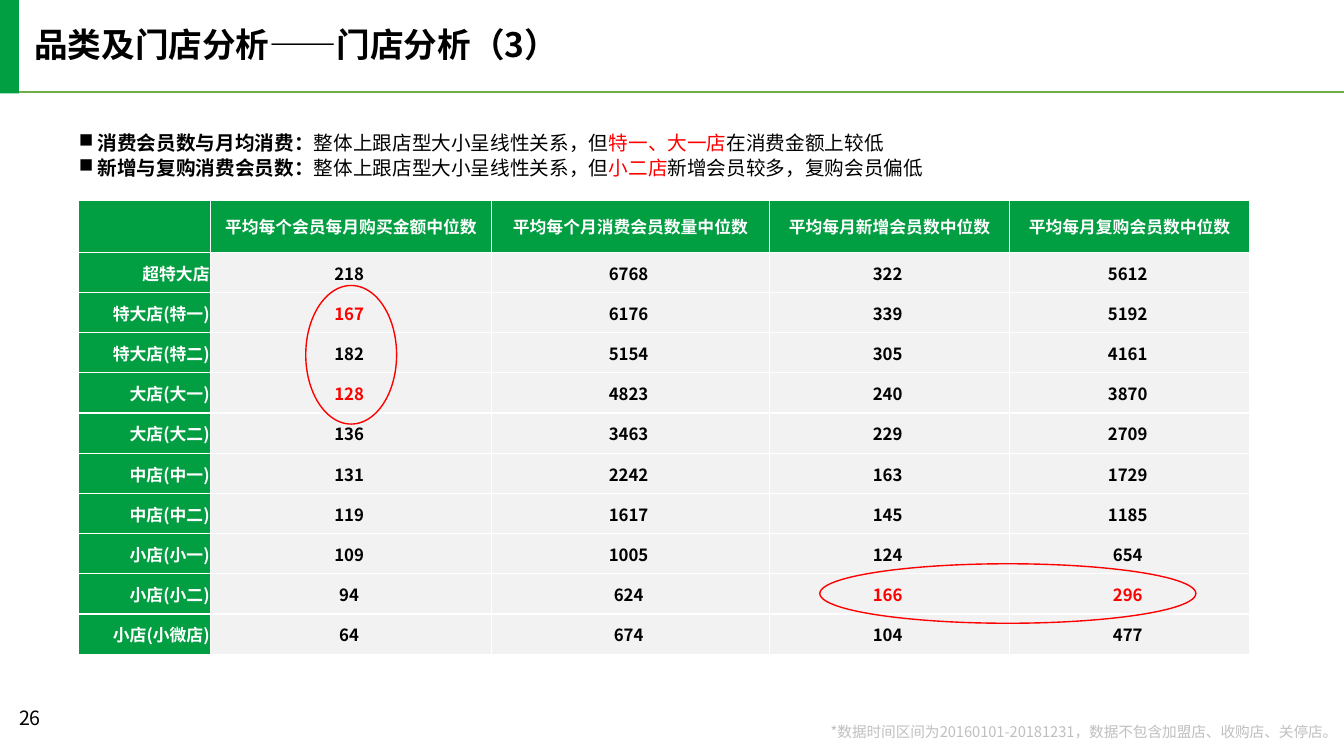
from lxml.etree import SubElement
from pptx import Presentation
from pptx.dml.color import RGBColor
from pptx.enum.shapes import MSO_CONNECTOR, MSO_SHAPE
from pptx.enum.text import MSO_ANCHOR, PP_ALIGN
from pptx.oxml.ns import qn
from pptx.util import Pt

FONT = "Noto Sans CJK SC"
GREEN = RGBColor(0x02, 0x9E, 0x42)
RULE_GREEN = RGBColor(0x70, 0xAD, 0x47)
PALE = RGBColor(0xF2, 0xF2, 0xF2)
GRAY = RGBColor(0xBF, 0xBF, 0xBF)
WHITE = RGBColor(0xFF, 0xFF, 0xFF)
BLACK = RGBColor(0, 0, 0)
RED = RGBColor(0xFF, 0, 0)

TITLE = "品类及门店分析——门店分析（3）"
FOOTNOTE = "*数据时间区间为20160101-20181231，数据不包含加盟店、收购店、关停店。"
PAGE_NUMBER = "26"
FINDINGS = [
    [("消费会员数与月均消费：", True, BLACK), ("整体上跟店型大小呈线性关系，但", False, BLACK),
     ("特一、大一店", False, RED), ("在消费金额上较低", False, BLACK)],
    [("新增与复购消费会员数：", True, BLACK), ("整体上跟店型大小呈线性关系，但", False, BLACK),
     ("小二店", False, RED), ("新增会员较多，复购会员偏低", False, BLACK)],
]
HEADERS = ["", "平均每个会员每月购买金额中位数", "平均每个月消费会员数量中位数",
           "平均每月新增会员数中位数", "平均每月复购会员数中位数"]
STORES = [
    ("超特大店", 218, 6768, 322, 5612),
    ("特大店(特一)", 167, 6176, 339, 5192),
    ("特大店(特二)", 182, 5154, 305, 4161),
    ("大店(大一)", 128, 4823, 240, 3870),
    ("大店(大二)", 136, 3463, 229, 2709),
    ("中店(中一)", 131, 2242, 163, 1729),
    ("中店(中二)", 119, 1617, 145, 1185),
    ("小店(小一)", 109, 1005, 124, 654),
    ("小店(小二)", 94, 624, 166, 296),
    ("小店(小微店)", 64, 674, 104, 477),
]
LOW_VALUES = {(2, 1), (4, 1), (9, 3), (9, 4)}
COLUMN_WIDTHS = [94.1, 200.7, 198.6, 171.5, 171.5]
HEADER_HEIGHT, STORE_HEIGHT = 37.2, 28.73
HIGHLIGHTS = [(218.4, 203.9, 64.9, 99), (585.6, 402.7, 268.6, 42.5)]


def write(frame, text, size=12, color=BLACK, bold=False, align=PP_ALIGN.LEFT,
          anchor=MSO_ANCHOR.TOP, spacing=None, bullet=None, wrap=True):
    frame.word_wrap = wrap
    frame.vertical_anchor = anchor
    lines = [[(text, bold, color)]] if isinstance(text, str) else text
    for number, line in enumerate(lines):
        paragraph = frame.add_paragraph() if number else frame.paragraphs[0]
        if bullet:
            properties = paragraph._p.get_or_add_pPr()
            properties.set("marL", str(Pt(13.5)))
            properties.set("indent", str(-Pt(13.5)))
            SubElement(properties, qn("a:buChar")).set("char", bullet)
        paragraph.alignment = align
        if spacing:
            paragraph.line_spacing = spacing
        for words, strong, ink in line:
            run = paragraph.add_run()
            run.text = words
            run.font.size = Pt(size)
            run.font.bold = strong
            run.font.color.rgb = ink
            run.font.name = FONT
            SubElement(run._r.get_or_add_rPr(), qn("a:ea")).set("typeface", FONT)


def add_box(left, top, width, height, inset=(0, 0)):
    frame = slide.shapes.add_textbox(Pt(left), Pt(top), Pt(width), Pt(height)).text_frame
    frame.margin_left = frame.margin_right = Pt(inset[0])
    frame.margin_top = frame.margin_bottom = Pt(inset[1])
    return frame


def add_plain_shape(kind, left, top, width, height):
    shape = slide.shapes.add_shape(kind, Pt(left), Pt(top), Pt(width), Pt(height))
    shape.shadow.inherit = False
    return shape


def add_borders(cell):
    properties = cell._tc.get_or_add_tcPr()
    for side in ("lnL", "lnR", "lnT", "lnB"):
        border = SubElement(properties, qn(f"a:{side}"))
        border.set("w", str(Pt(1)))
        fill = SubElement(border, qn("a:solidFill"))
        SubElement(fill, qn("a:srgbClr")).set("val", str(WHITE))


presentation = Presentation()
presentation.slide_width, presentation.slide_height = Pt(960), Pt(540)
slide = presentation.slides.add_slide(presentation.slide_layouts[6])

title_rule = slide.shapes.add_connector(MSO_CONNECTOR.STRAIGHT, 0, Pt(66), Pt(960), Pt(66))
title_rule.line.color.rgb = RULE_GREEN
title_rule.line.width = Pt(1.5)
SubElement(title_rule._element.spPr, qn("a:effectLst"))

write(add_box(24.5, 20.2, 453, 26), TITLE, size=24, bold=True, spacing=0.9)

title_bar = add_plain_shape(MSO_SHAPE.RECTANGLE, 0, -0.7, 13.5, 67.5)
title_bar.fill.solid()
title_bar.fill.fore_color.rgb = GREEN
title_bar.line.fill.background()

write(add_box(581.8, 517.5, 373.7, 11.5), FOOTNOTE, size=10.5, color=GRAY,
      align=PP_ALIGN.RIGHT, spacing=0.9, wrap=False)
write(add_box(6.5, 500.4, 65.5, 28.8, inset=(7.2, 3.6)), PAGE_NUMBER, size=14)

rows = [HEADERS, *STORES]
heights = [HEADER_HEIGHT] + [STORE_HEIGHT] * len(STORES)
medians = slide.shapes.add_table(len(rows), len(HEADERS), Pt(56.3), Pt(142.9),
                                 Pt(sum(COLUMN_WIDTHS)), Pt(sum(heights))).table
medians.horz_banding = False
for column, width in zip(medians.columns, COLUMN_WIDTHS):
    column.width = Pt(width)
for r, (row, height) in enumerate(zip(rows, heights)):
    medians.rows[r].height = Pt(height)
    for c, value in enumerate(row):
        cell = medians.cell(r, c)
        is_label = r == 0 or c == 0
        add_borders(cell)
        cell.fill.solid()
        cell.fill.fore_color.rgb = GREEN if is_label else PALE
        cell.margin_left = cell.margin_right = cell.margin_top = Pt(0.7)
        cell.margin_bottom = 0
        cell.vertical_anchor = MSO_ANCHOR.MIDDLE
        if value != "":
            ink = WHITE if is_label else RED if (r, c) in LOW_VALUES else BLACK
            write(cell.text_frame, value if is_label else f"{value} ", color=ink, bold=True,
                  align=PP_ALIGN.CENTER if c else PP_ALIGN.RIGHT, anchor=MSO_ANCHOR.MIDDLE)

write(add_box(56.3, 92.2, 835, 36), FINDINGS, size=14, anchor=MSO_ANCHOR.MIDDLE,
      spacing=Pt(18), bullet="■")

for place in HIGHLIGHTS:
    ring = add_plain_shape(MSO_SHAPE.OVAL, *place)
    ring.fill.background()
    ring.line.color.rgb = RED
    ring.line.width = Pt(1)

presentation.save("out.pptx")
